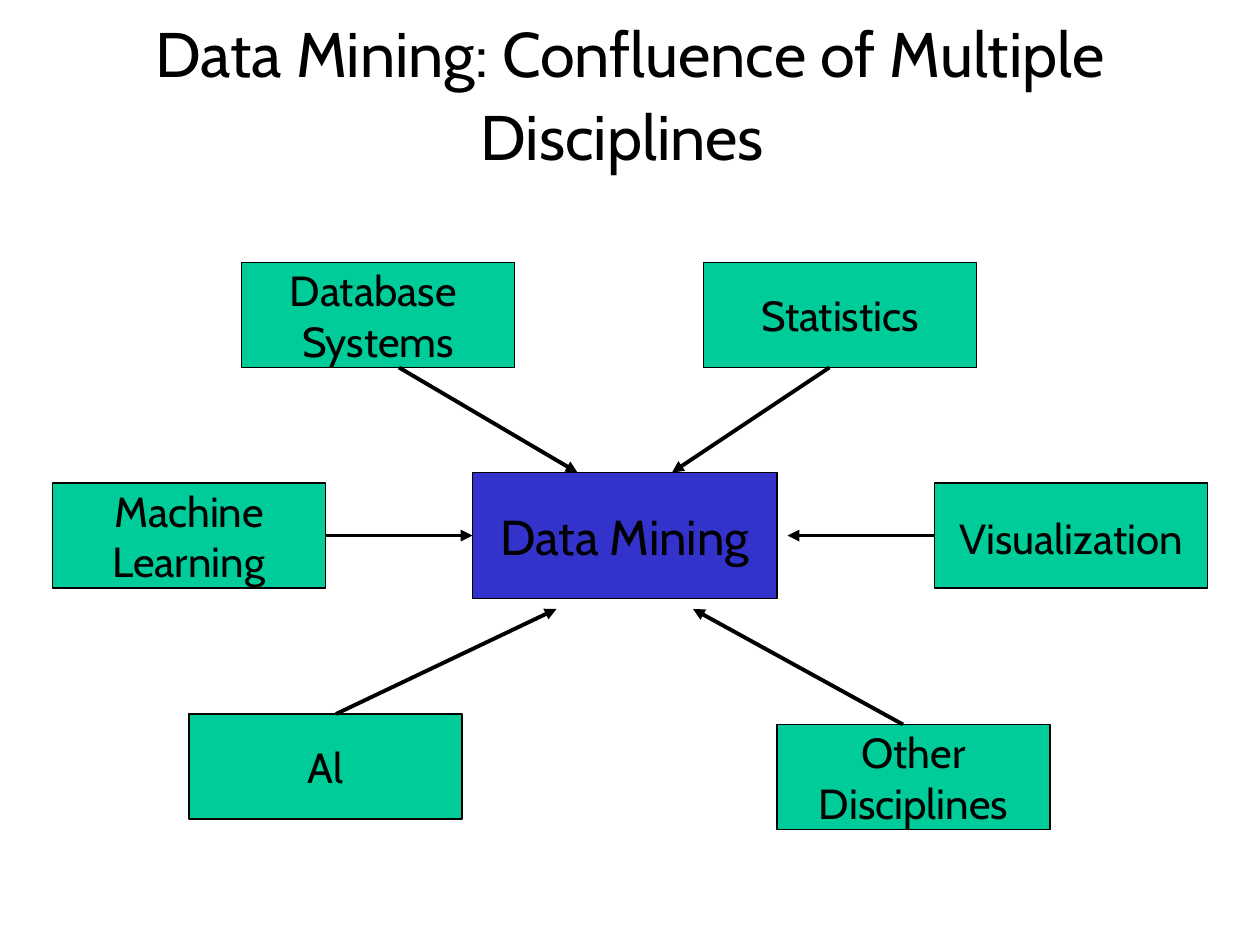
from dataclasses import dataclass

from lxml.etree import SubElement
from pptx import Presentation
from pptx.dml.color import RGBColor
from pptx.enum.shapes import MSO_CONNECTOR as Connector, MSO_SHAPE as Preset
from pptx.enum.text import MSO_ANCHOR as Anchor, PP_ALIGN as Align
from pptx.oxml.ns import qn
from pptx.util import Inches, Pt

# Grid of 120 columns by 90 rows: twelve cells to the inch
COLUMNS, ROWS = 120, 90
FONT = "Cabin"
BLACK, GREEN, BLUE = "000000", "00CC99", "3333CC"


@dataclass
class Box:
    text: str
    column: int
    row: int
    columns: int = 26
    rows: int = 10
    fill: str = GREEN
    size: int = 24
    line_spacing: float = 1.0


@dataclass
class Arrow:
    start: tuple[int, int]
    end: tuple[int, int]


TITLE = "Data Mining: Confluence of Multiple Disciplines"

BOXES = [
    Box("Data Mining", 45, 45, columns=29, rows=12, fill=BLUE, size=28),
    Box("Database \nSystems", 23, 25),
    Box("Statistics", 67, 25),
    Box("Other\nDisciplines", 74, 69),
    Box("Al", 18, 68),
    Box("Machine\nLearning", 5, 46),
    Box("Visualization", 89, 46, line_spacing=1.1),
]

ARROWS = [
    Arrow((31, 51), (45, 51)),
    Arrow((38, 35), (55, 45)),
    Arrow((79, 35), (64, 45)),
    Arrow((89, 51), (75, 51)),
    Arrow((86, 69), (66, 58)),
    Arrow((32, 68), (53, 58)),
]


def cells(*counts: int) -> list[int]:
    """Turn grid counts into lengths."""
    return [Inches(count / 12) for count in counts]


def color(hex_code: str) -> RGBColor:
    return RGBColor.from_string(hex_code)


def format_text(text_frame, size: int, line_spacing: float = 1.0) -> None:
    text_frame.vertical_anchor = Anchor.MIDDLE
    for paragraph in text_frame.paragraphs:
        paragraph.alignment = Align.CENTER
        paragraph.line_spacing = line_spacing
        for run in paragraph.runs:
            run.font.name = FONT
            run.font.size = Pt(size)
            run.font.color.rgb = color(BLACK)


def draw_title(slide) -> None:
    text_frame = slide.shapes.add_textbox(*cells(0, 4, COLUMNS, 10)).text_frame
    text_frame.word_wrap = True
    text_frame.text = TITLE
    space = text_frame.paragraphs[0].add_run()
    space.text = " "
    format_text(text_frame, 36)
    space.font.size = Pt(40)
    space.font.bold = True


def draw_box(slide, box: Box) -> None:
    shape = slide.shapes.add_shape(
        Preset.RECTANGLE, *cells(box.column, box.row, box.columns, box.rows))
    shape.shadow.inherit = False
    shape.fill.solid()
    shape.fill.fore_color.rgb = color(box.fill)
    shape.line.color.rgb = color(BLACK)
    shape.line.width = Pt(0.75)
    shape.text_frame.word_wrap = False
    shape.text_frame.text = box.text
    format_text(shape.text_frame, box.size, box.line_spacing)


def draw_arrow(slide, arrow: Arrow) -> None:
    connector = slide.shapes.add_connector(
        Connector.STRAIGHT, *cells(*arrow.start, *arrow.end))
    connector.line.color.rgb = color(BLACK)
    connector.line.width = Pt(2.25)
    # Arrowhead at the end, and no shadow
    SubElement(connector.line._get_or_add_ln(), qn("a:tailEnd"), type="triangle")
    SubElement(connector._element.spPr, qn("a:effectLst"))


def main() -> None:
    presentation = Presentation()
    presentation.slide_width, presentation.slide_height = cells(COLUMNS, ROWS)
    slide = presentation.slides.add_slide(presentation.slide_layouts[6])

    draw_title(slide)
    # Data mining in the middle, with its disciplines around it
    for box in BOXES:
        draw_box(slide, box)
    for arrow in ARROWS:
        draw_arrow(slide, arrow)

    presentation.save("out.pptx")


if __name__ == "__main__":
    main()
